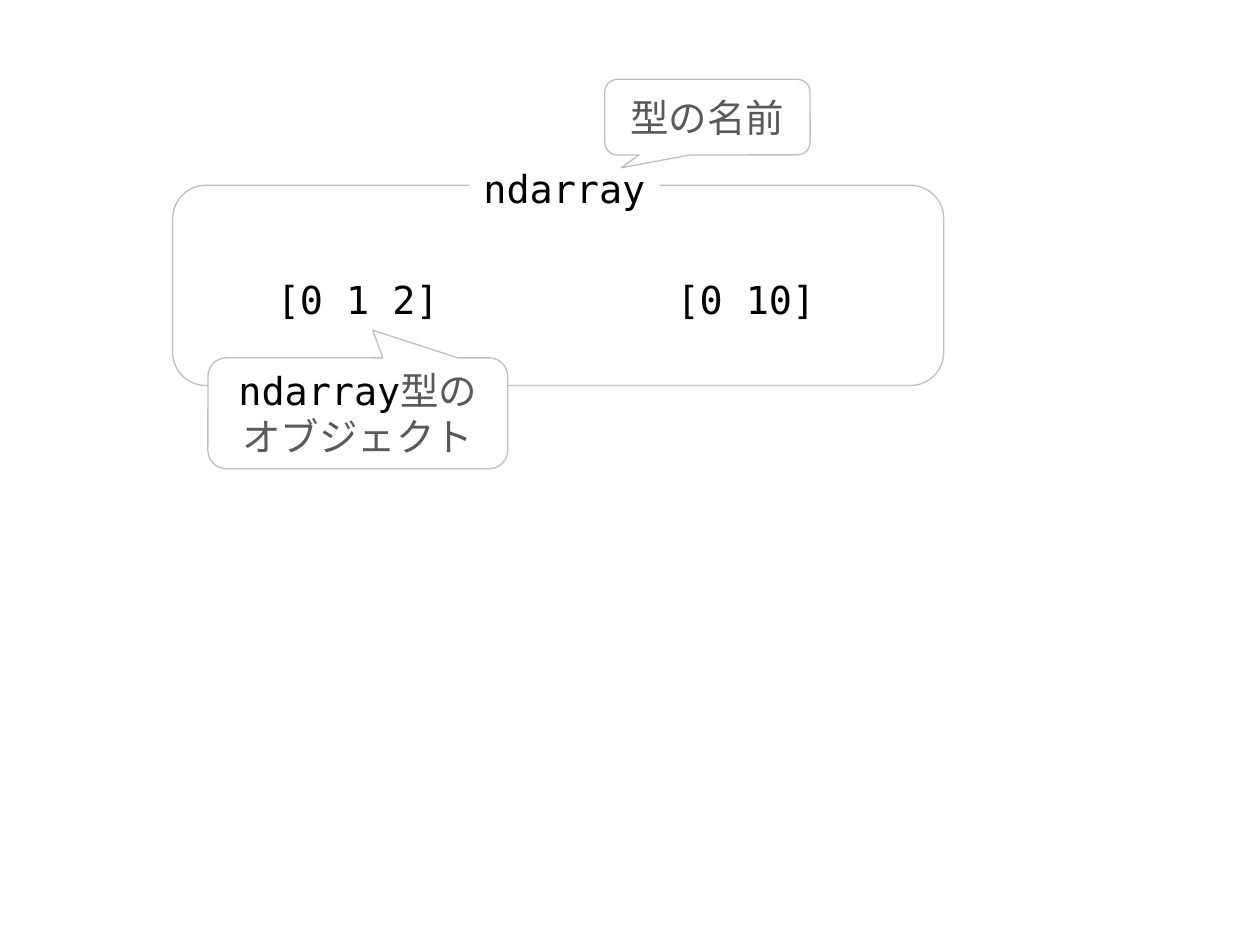
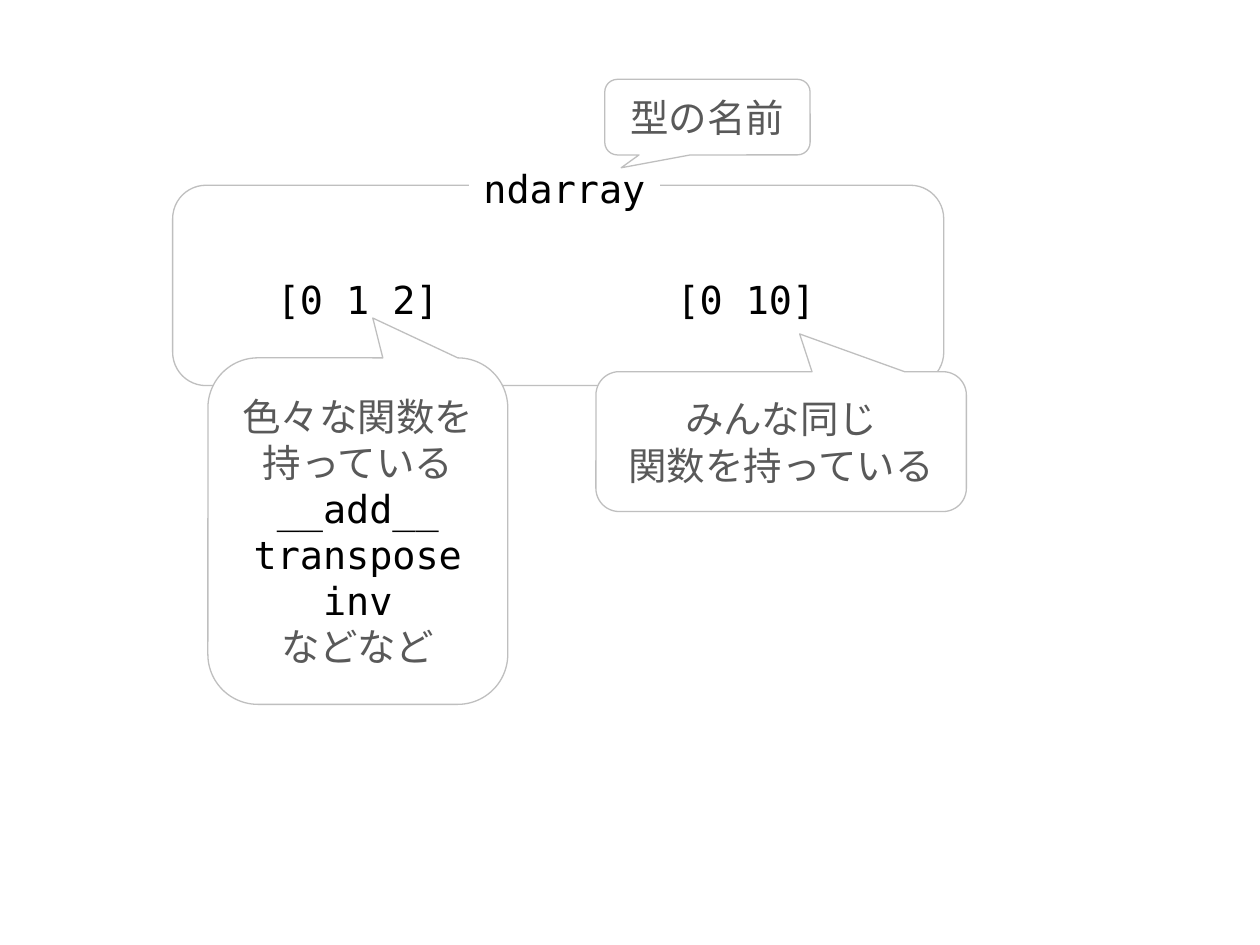
"""Build two slides that explain the ndarray type, its objects and their functions."""
from pptx import Presentation
from pptx.dml.color import RGBColor
from pptx.enum.shapes import MSO_SHAPE
from pptx.enum.text import MSO_ANCHOR, MSO_AUTO_SIZE, PP_ALIGN
from pptx.oxml.ns import qn
from pptx.util import Inches, Pt
from lxml.etree import SubElement

WHITE = RGBColor(0xFF, 0xFF, 0xFF)
BLACK = RGBColor(0x00, 0x00, 0x00)
TEXT_GRAY = RGBColor(0x59, 0x59, 0x59)
OUTLINE_GRAY = RGBColor(0xBF, 0xBF, 0xBF)
CODE_FONT = "DejaVu Sans Mono"
JAPANESE_FONT = "Noto Sans CJK JP"

LABELS = [
    ("[0 1 2]", 2.09, 2.14, 1.5, False),
    ("[0 10]", 5.26, 2.14, 1.32, False),
    ("ndarray", 3.73, 1.26, 1.5, True),
]
TYPE_NAME_CALLOUT = ((4.8, 0.63, 1.63, 0.6), (-0.42, 0.67), [["型の名前"]])
OBJECT_CALLOUT = ((1.65, 2.84, 2.38, 0.88), (0.05, -0.75), [["ndarray", "型のオブジェクト"]])
FUNCTIONS_CALLOUT = (
    (1.65, 2.84, 2.38, 2.75),
    (0.05, -0.615),
    [["色々な関数を持っている"], ["__add__"], ["transpose"], ["inv"], ["などなど"]],
)
SAME_FUNCTIONS_CALLOUT = (
    (4.73, 2.95, 2.94, 1.11),
    (0.05, -0.77),
    [["みんな同じ"], ["関数を持っている"]],
)


def write_text(text_frame, lines):
    """Write centred lines, with code in black monospace and Japanese in gray."""
    for index, parts in enumerate(lines):
        paragraph = text_frame.add_paragraph() if index else text_frame.paragraphs[0]
        paragraph.alignment = PP_ALIGN.CENTER
        for part in parts:
            run = paragraph.add_run()
            run.text = part
            is_code = part.isascii()
            run.font.size = Pt(22)
            run.font.color.rgb = BLACK if is_code else TEXT_GRAY
            run.font.name = CODE_FONT if is_code else JAPANESE_FONT
            east_asian = SubElement(run.font._element, qn("a:ea"))
            east_asian.set("typeface", run.font.name)


def add_outlined_shape(shapes, shape_type, box):
    """Add a white shape with a thin gray outline."""
    shape = shapes.add_shape(shape_type, *[Inches(length) for length in box])
    shape.shadow.inherit = False
    shape.fill.solid()
    shape.fill.fore_color.rgb = WHITE
    shape.line.color.rgb = OUTLINE_GRAY
    shape.line.width = Pt(0.75)
    return shape


presentation = Presentation()
presentation.slide_width = Inches(10)
presentation.slide_height = Inches(7.5)

slides = [
    (True, [TYPE_NAME_CALLOUT, OBJECT_CALLOUT]),
    (False, [TYPE_NAME_CALLOUT, FUNCTIONS_CALLOUT, SAME_FUNCTIONS_CALLOUT]),
]
for grouped, callouts in slides:
    slide = presentation.slides.add_slide(presentation.slide_layouts[6])
    shapes = slide.shapes.add_group_shape().shapes if grouped else slide.shapes

    add_outlined_shape(shapes, MSO_SHAPE.ROUNDED_RECTANGLE, (1.37, 1.47, 6.12, 1.59))

    for text, left, top, width, filled in LABELS:
        label = shapes.add_textbox(Inches(left), Inches(top), Inches(width), Inches(0.47))
        if filled:
            label.fill.solid()
            label.fill.fore_color.rgb = WHITE
        label.line.color.rgb = WHITE
        label.line.width = Pt(0.75)
        label.text_frame.word_wrap = False
        label.text_frame.auto_size = MSO_AUTO_SIZE.SHAPE_TO_FIT_TEXT
        write_text(label.text_frame, [[text]])

    for box, pointer, lines in callouts:
        callout = add_outlined_shape(shapes, MSO_SHAPE.ROUNDED_RECTANGULAR_CALLOUT, box)
        callout.adjustments[0], callout.adjustments[1] = pointer
        callout.text_frame.word_wrap = True
        callout.text_frame.vertical_anchor = MSO_ANCHOR.MIDDLE
        write_text(callout.text_frame, lines)

presentation.save("out.pptx")
